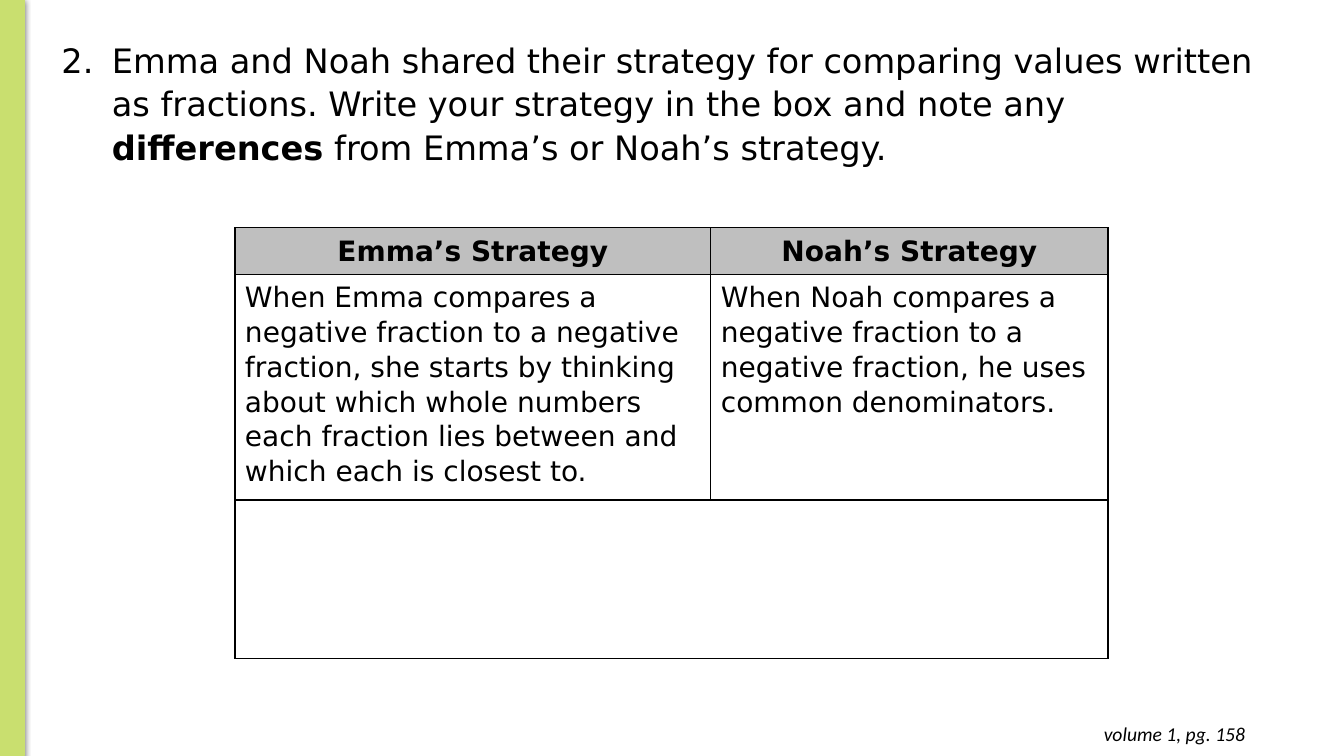
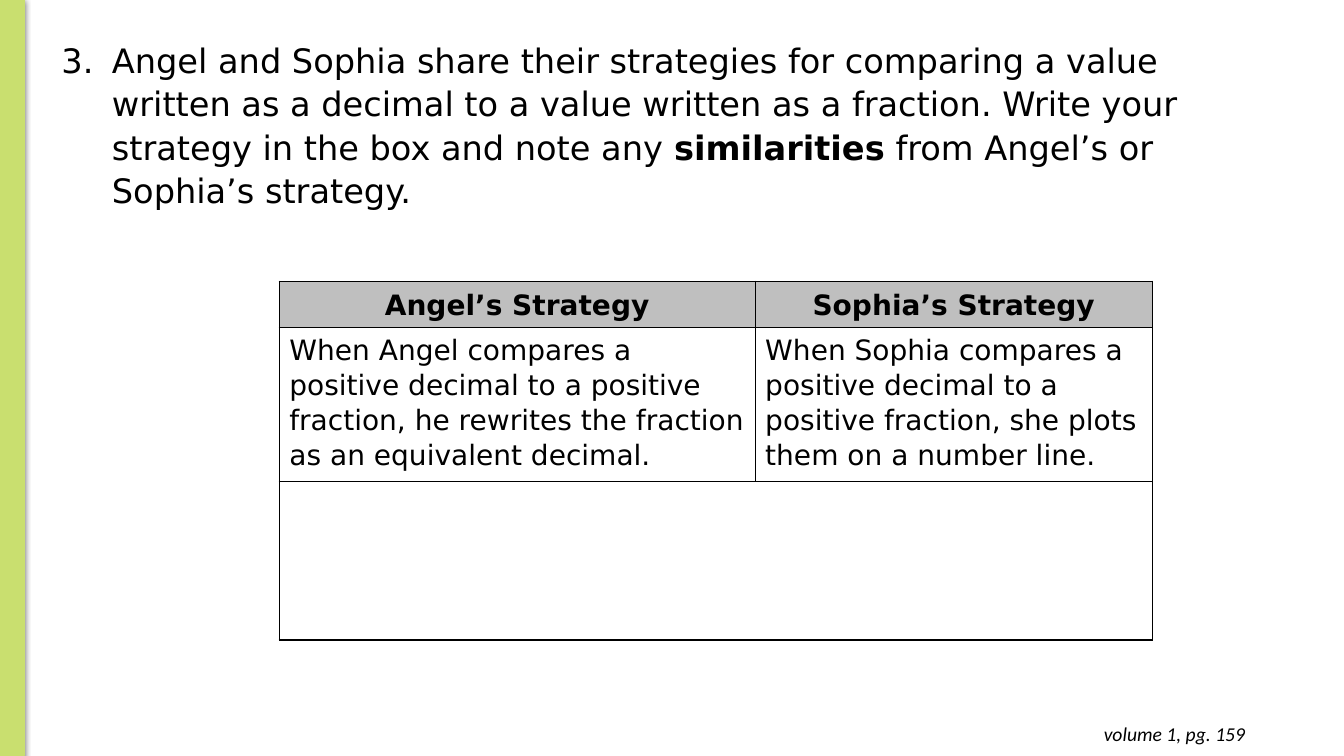
from lxml.etree import SubElement
from pptx import Presentation
from pptx.dml.color import RGBColor
from pptx.enum.shapes import MSO_SHAPE as Shape
from pptx.enum.text import MSO_ANCHOR as Anchor, MSO_AUTO_SIZE as AutoSize, PP_ALIGN as Align
from pptx.oxml.ns import qn
from pptx.util import Pt

PX = 9144
COLORS = {"bar": "C9DF6F", "header": "BFBFBF", "ink": "000000", "paper": "FFFFFF"}
BODY_FONT, FOOTER_FONT = "DejaVu Sans", "Calibri"
LINE_SPACING = 1.07
COLUMNS = (472, 394)
HEADER_HEIGHT, ANSWER_HEIGHT = 46, 157

SLIDES = [
    {
        "number": 2,
        "question": [
            ("Emma and Noah shared their strategy for comparing values written as fractions. "
             "Write your strategy in the box and note any ", False),
            ("differences", True),
            (" from Emma’s or Noah’s strategy.", False),
        ],
        "question_height": 137,
        "table_at": (233, 226),
        "body_height": 224,
        "rows": [
            ("Emma’s Strategy", "Noah’s Strategy"),
            ("When Emma compares a negative fraction to a negative fraction, she starts by thinking "
             "about which whole numbers each fraction lies between and which each is closest to.",
             "When Noah compares a negative fraction to a negative fraction, he uses common denominators."),
        ],
        "footer": "volume 1, pg. 158",
    },
    {
        "number": 3,
        "question": [
            ("Angel and Sophia share their strategies for comparing a value written as a decimal "
             "to a value written as a fraction. Write your strategy in the box and note any ", False),
            ("similarities", True),
            (" from Angel’s or Sophia’s strategy.", False),
        ],
        "question_height": 181,
        "table_at": (277, 279),
        "body_height": 153,
        "rows": [
            ("Angel’s Strategy", "Sophia’s Strategy"),
            ("When Angel compares a positive decimal to a positive fraction, he rewrites the fraction "
             "as an equivalent decimal.",
             "When Sophia compares a positive decimal to a positive fraction, she plots them on a number line."),
        ],
        "footer": "volume 1, pg. 159",
    },
]


def px(*lengths):
    """Turn px lengths into EMU."""
    return [length * PX for length in lengths]


def color(name):
    """Look up a named colour."""
    return RGBColor.from_string(COLORS[name])


def element(parent, tag, **attributes):
    """Append a drawing element with its attributes."""
    return SubElement(parent, qn(tag), {key: str(value) for key, value in attributes.items()})


def style(span, size, bold=False, italic=False, font=BODY_FONT):
    """Format one run of text."""
    span.font.name, span.font.size = font, Pt(size)
    span.font.bold, span.font.italic = bold, italic
    span.font.color.rgb = color("ink")


def add_side_bar(page):
    """Draw the shadowed band on the left edge."""
    bar = page.shapes.add_shape(Shape.RECTANGLE, *px(0, -1, 24, 751))
    bar.fill.solid()
    bar.fill.fore_color.rgb = color("bar")
    bar.line.color.rgb = color("bar")
    bar.line.width = Pt(0.75)
    bar.shadow.inherit = False
    effects = bar._element.spPr.find(qn("a:effectLst"))
    shadow = element(effects, "a:outerShdw", blurRad=Pt(4.5), dist=Pt(1.5),
                     dir=5400000, algn="t", rotWithShape=0)
    tint = element(shadow, "a:srgbClr", val=COLORS["ink"])
    element(tint, "a:alpha", val=50000)


def set_question(page, number, spans, height):
    """Fill the title with the numbered question."""
    title = page.shapes.title
    title.left, title.top, title.width, title.height = px(51, 32, 1216, height)
    frame = title.text_frame
    frame.word_wrap, frame.auto_size = True, AutoSize.NONE
    frame.vertical_anchor = Anchor.TOP
    para = frame.paragraphs[0]
    para.alignment, para.line_spacing = Align.LEFT, LINE_SPACING
    settings = para._p.get_or_add_pPr()
    indent = 50 * PX
    settings.set("marL", str(indent))
    settings.set("indent", str(-indent))
    element(element(settings, "a:buClr"), "a:srgbClr", val=COLORS["ink"])
    element(settings, "a:buFont", typeface=BODY_FONT)
    element(settings, "a:buAutoNum", type="arabicPeriod", startAt=number)
    for text, bold in spans:
        span = para.add_run()
        span.text = text
        style(span, 24, bold)


def style_cell(cell, is_header):
    """Give a cell its borders and fill."""
    settings = cell._tc.get_or_add_tcPr()
    for side in "LRTB":
        border = element(settings, f"a:ln{side}", w=Pt(1))
        element(element(border, "a:solidFill"), "a:srgbClr", val=COLORS["ink"])
    cell.fill.solid()
    cell.fill.fore_color.rgb = color("header" if is_header else "paper")


def write_cell(cell, text, is_header):
    """Write and format the text of a cell."""
    cell.text_frame.text = text
    cell.vertical_anchor = Anchor.MIDDLE if is_header else Anchor.TOP
    para = cell.text_frame.paragraphs[0]
    para.alignment = Align.CENTER if is_header else Align.LEFT
    para.line_spacing = LINE_SPACING
    style(para.runs[0], 20, bold=is_header)


def add_strategy_table(page, position, body_height, rows):
    """Add two strategies above one wide answer box."""
    heights = (HEADER_HEIGHT, body_height, ANSWER_HEIGHT)
    table = page.shapes.add_table(len(heights), len(COLUMNS),
                                  *px(*position, sum(COLUMNS), sum(heights))).table
    table.horz_banding = False
    for column, width in zip(table.columns, px(*COLUMNS)):
        column.width = width
    for index, height in enumerate(px(*heights)):
        table.rows[index].height = height
        for cell in table.rows[index].cells:
            style_cell(cell, index == 0)
    for row_index, texts in enumerate(rows):
        for column_index, text in enumerate(texts):
            write_cell(table.cell(row_index, column_index), text, row_index == 0)
    last = len(heights) - 1
    table.cell(last, 0).merge(table.cell(last, len(COLUMNS) - 1))


def add_footer(page, text):
    """Add the page reference at the lower right."""
    frame = page.shapes.add_textbox(*px(957, 706, 288, 44)).text_frame
    frame.word_wrap = True
    frame.margin_left = frame.margin_right = frame.margin_top = frame.margin_bottom = 10 * PX
    frame.text = text
    para = frame.paragraphs[0]
    para.alignment = Align.RIGHT
    style(para.runs[0], 14, italic=True, font=FOOTER_FONT)


def main():
    """Build and save the deck."""
    deck = Presentation()
    deck.slide_width, deck.slide_height = px(1333, 750)
    title_only = deck.slide_layouts.get_by_name("Title Only")
    for content in SLIDES:
        page = deck.slides.add_slide(title_only)
        add_side_bar(page)
        set_question(page, content["number"], content["question"], content["question_height"])
        add_strategy_table(page, content["table_at"], content["body_height"], content["rows"])
        add_footer(page, content["footer"])
    deck.save("out.pptx")


if __name__ == "__main__":
    main()
